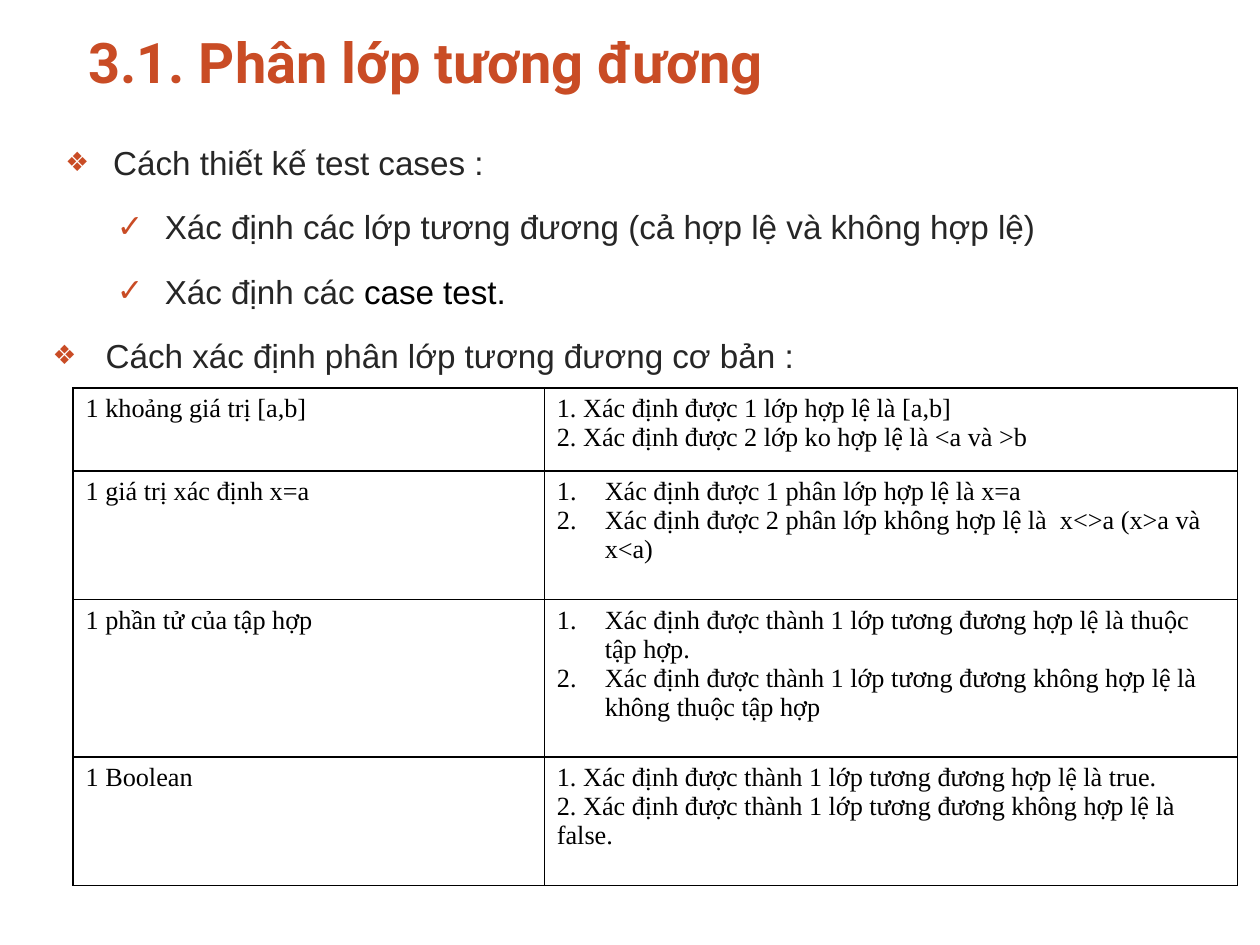
from dataclasses import dataclass

from lxml.etree import SubElement
from pptx import Presentation
from pptx.dml.color import RGBColor as Rgb
from pptx.enum.text import MSO_ANCHOR as Anchor, PP_ALIGN as Align
from pptx.oxml.ns import qn
from pptx.util import Inches, Pt


@dataclass(frozen=True)
class Theme:
    accent: str = "C94C25"
    body: str = "262626"
    black: str = "000000"
    title_font: str = "Roboto"
    body_font: str = "Arial"
    table_font: str = "Times New Roman"
    title_size: int = 32
    body_size: int = 19
    table_size: int = 15
    border_width: float = 1


# Bullet style: character, size in percent, left margin, hanging indent
DIAMOND = ("❖", 80, 0.55, 0.38)
CHECK = ("✓", 95, 0.96, 0.38)
LOW_DIAMOND = ("❖", 80, 0.49, 0.42)

BULLETS = [
    (DIAMOND, [("Cách thiết kế test cases :", "body")]),
    (CHECK, [("Xác định các lớp tương đương (cả hợp lệ và không hợp lệ)", "body")]),
    (CHECK, [("Xác định các ", "body"), ("case test.", "black")]),
    (LOW_DIAMOND, [("Cách xác định phân lớp tương đương cơ bản :", "body")]),
]

# Row height, condition, resulting classes, automatic numbering
ROWS = [
    (0.66, "1 khoảng giá trị [a,b]",
     ["1. Xác định được 1 lớp hợp lệ là [a,b]",
      "2. Xác định được 2 lớp ko hợp lệ là <a và >b"], False),
    (1.02, "1 giá trị xác định x=a",
     ["Xác định được 1 phân lớp hợp lệ là x=a",
      "Xác định được 2 phân lớp không hợp lệ là  x<>a (x>a và x<a)"], True),
    (1.25, "1 phần tử của tập hợp",
     ["Xác định được thành 1 lớp tương đương hợp lệ là thuộc tập hợp.",
      "Xác định được thành 1 lớp tương đương không hợp lệ là không thuộc tập hợp"], True),
    (1.02, "1 Boolean",
     ["1. Xác định được thành 1 lớp tương đương hợp lệ là true.",
      "2. Xác định được thành 1 lớp tương đương không hợp lệ là false."], False),
]


class SlideBuilder:
    def __init__(self, slide, theme):
        self.slide = slide
        self.theme = theme

    def add_run(self, paragraph, text, font, size, color, bold=False):
        run = paragraph.add_run()
        run.text = text
        run.font.name = font
        run.font.size = Pt(size)
        run.font.bold = bold
        run.font.color.rgb = Rgb.from_string(color)

    def set_indent(self, paragraph, left, hanging=0.0):
        properties = paragraph._p.get_or_add_pPr()
        properties.set("marL", str(Inches(left)))
        properties.set("indent", str(-Inches(hanging)))
        return properties

    def set_bullet(self, paragraph, character, percent, left, hanging):
        properties = self.set_indent(paragraph, left, hanging)
        color = SubElement(properties, qn("a:buClr"))
        SubElement(color, qn("a:srgbClr"), val=self.theme.accent)
        SubElement(properties, qn("a:buSzPct"), val=str(percent * 1000))
        SubElement(properties, qn("a:buFont"), typeface=self.theme.body_font)
        SubElement(properties, qn("a:buChar"), char=character)

    def set_number(self, paragraph):
        properties = self.set_indent(paragraph, 0.38, 0.38)
        SubElement(properties, qn("a:buFont"), typeface=self.theme.table_font)
        SubElement(properties, qn("a:buAutoNum"), type="arabicPeriod")

    def paragraphs(self, frame, count):
        return [frame.paragraphs[0]] + [frame.add_paragraph() for _ in range(count - 1)]

    def title(self, text, left, top, width, height):
        shape = self.slide.shapes.title
        shape.left, shape.top = Inches(left), Inches(top)
        shape.width, shape.height = Inches(width), Inches(height)
        frame = shape.text_frame
        frame.margin_left = frame.margin_right = 0
        frame.vertical_anchor = Anchor.MIDDLE
        paragraph = frame.paragraphs[0]
        paragraph.alignment = Align.LEFT
        self.set_indent(paragraph, 0.2)
        theme = self.theme
        self.add_run(paragraph, text, theme.title_font, theme.title_size, theme.accent, True)

    def bullet_list(self, items, left, top, width, height):
        box = self.slide.shapes.add_textbox(
            Inches(left), Inches(top), Inches(width), Inches(height))
        frame = box.text_frame
        frame.word_wrap = True
        theme = self.theme
        colors = {"body": theme.body, "black": theme.black}
        for paragraph, (bullet, runs) in zip(self.paragraphs(frame, len(items)), items):
            paragraph.space_before, paragraph.space_after = Pt(4), Pt(10)
            self.set_bullet(paragraph, *bullet)
            for text, color in runs:
                self.add_run(paragraph, text, theme.body_font, theme.body_size, colors[color])

    def cell(self, cell, lines, numbered=False):
        theme = self.theme
        for paragraph, line in zip(self.paragraphs(cell.text_frame, len(lines)), lines):
            if numbered:
                self.set_number(paragraph)
            self.add_run(paragraph, line, theme.table_font, theme.table_size, theme.black)
        properties = cell._tc.get_or_add_tcPr()
        for side in ("a:lnL", "a:lnR", "a:lnT", "a:lnB"):
            border = SubElement(properties, qn(side), w=str(Pt(theme.border_width)))
            fill = SubElement(border, qn("a:solidFill"))
            SubElement(fill, qn("a:srgbClr"), val=theme.black)
        cell.fill.background()

    def table(self, rows, left, top, column_widths):
        frame = self.slide.shapes.add_table(
            len(rows), len(column_widths), Inches(left), Inches(top),
            Inches(sum(column_widths)), Inches(sum(row[0] for row in rows)))
        table = frame.table
        table.first_row = table.horz_banding = False
        for column, width in zip(table.columns, column_widths):
            column.width = Inches(width)
        for row, (height, condition, classes, numbered) in zip(table.rows, rows):
            row.height = Inches(height)
            self.cell(row.cells[0], [condition])
            self.cell(row.cells[1], classes, numbered)


def main():
    presentation = Presentation()
    presentation.slide_width, presentation.slide_height = Inches(10), Inches(7.5)
    title_only = presentation.slide_layouts[5]
    builder = SlideBuilder(presentation.slides.add_slide(title_only), Theme())
    builder.title("3.1. Phân lớp tương đương", 0.5, 0.05, 7.5, 0.87)
    builder.bullet_list(BULLETS, 0.25, 1.08, 9.58, 2.67)
    builder.table(ROWS, 0.58, 3.08, [3.74, 5.5])
    presentation.save("out.pptx")


if __name__ == "__main__":
    main()
